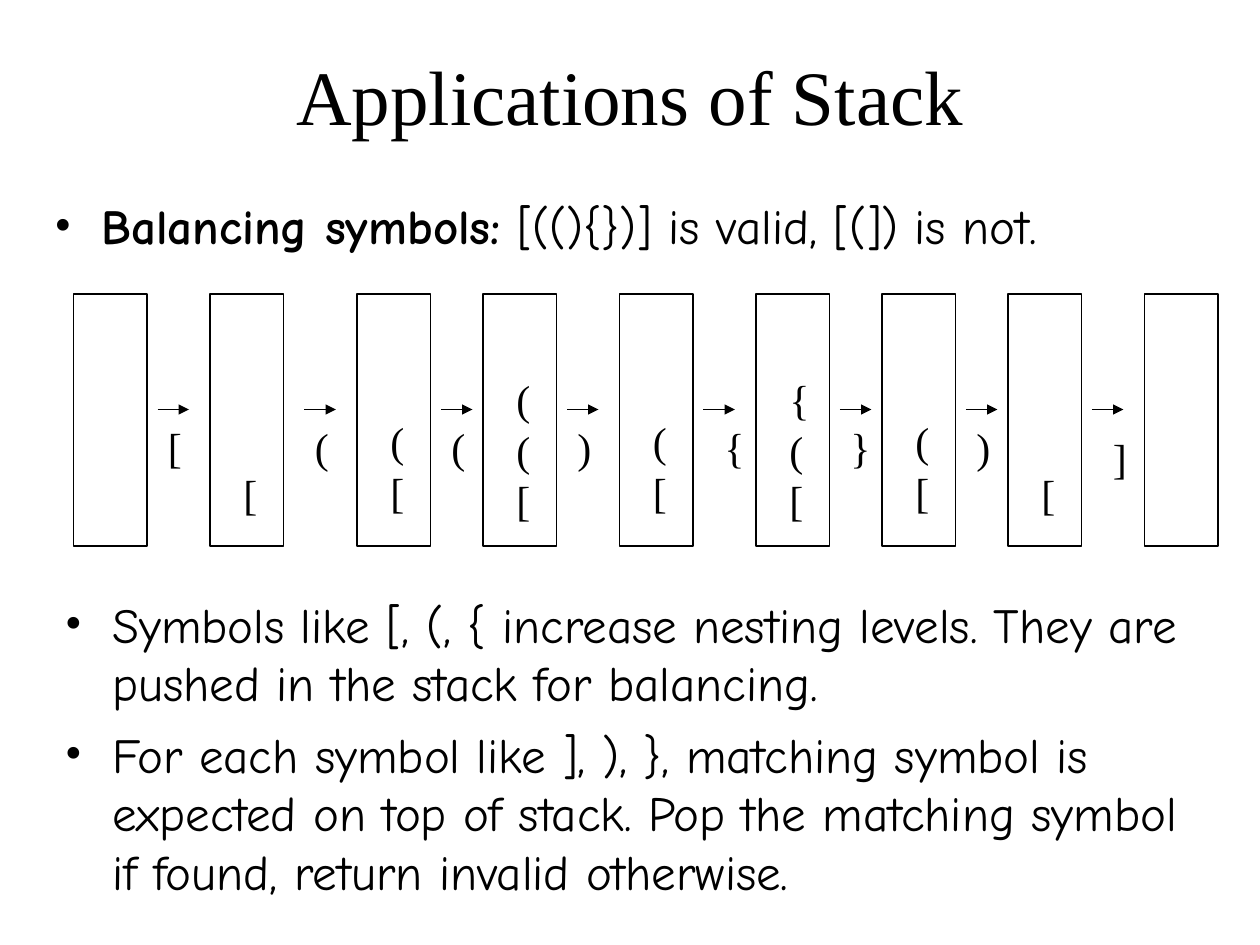
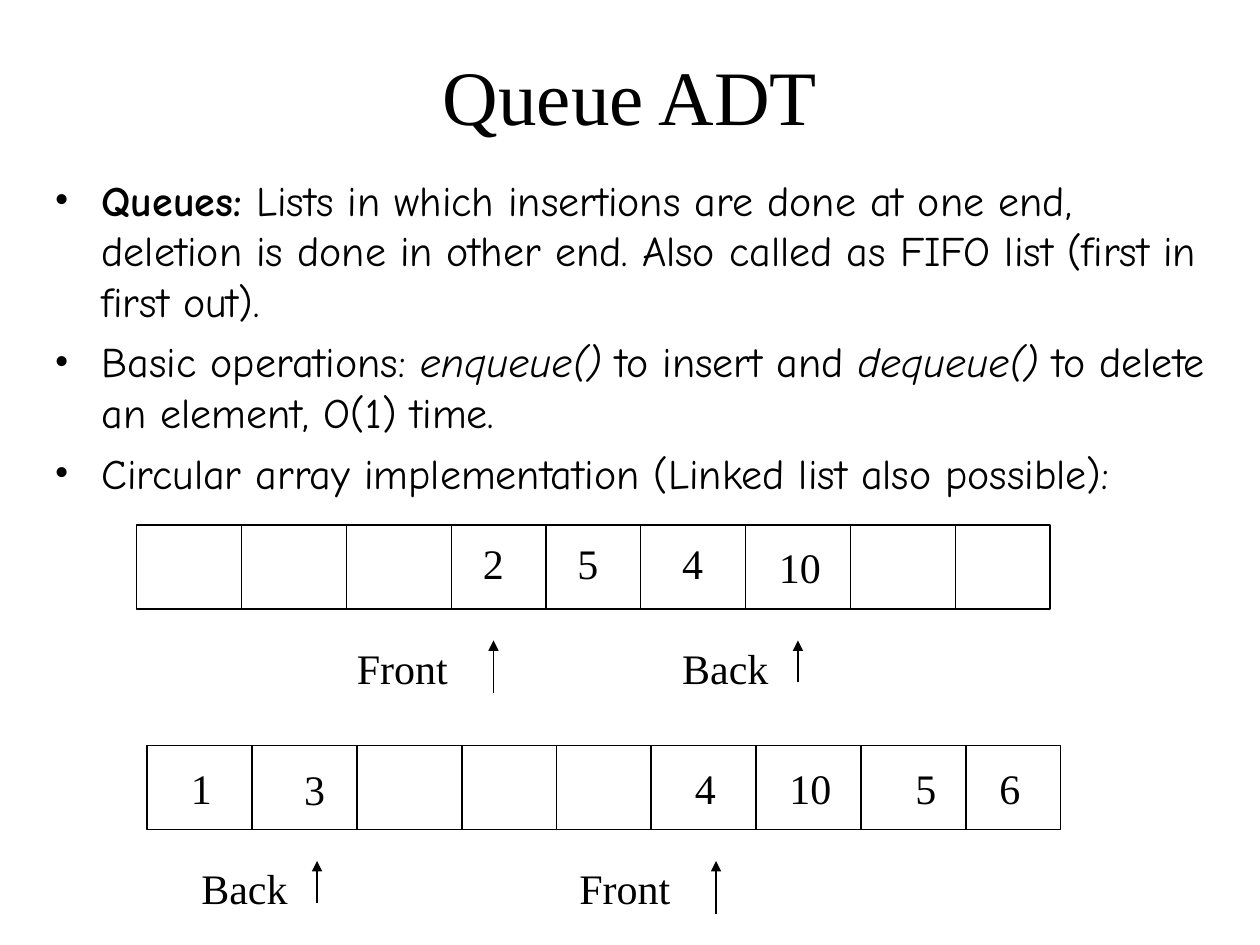
from dataclasses import dataclass
from itertools import accumulate

from lxml.etree import SubElement
from pptx import Presentation
from pptx.dml.color import RGBColor
from pptx.enum.shapes import MSO_CONNECTOR, MSO_SHAPE
from pptx.enum.text import MSO_ANCHOR, MSO_AUTO_SIZE, PP_ALIGN
from pptx.oxml.ns import qn
from pptx.util import Emu, Inches, Pt


@dataclass(frozen=True)
class Theme:
    ink: RGBColor = RGBColor(0, 0, 0)
    paper: RGBColor = RGBColor(255, 255, 255)
    serif: str = "Times New Roman"
    hand: str = "Comic Neue"
    title: int = 44
    large: int = 28
    text: int = 24
    rule: float = 0.75


THEME = Theme()
COLS, ROWS = 120, 90
UNIT = Inches(10) // COLS
INDENT = Inches(0.375)

STACK_TOP, STACK_WIDE, STACK_HIGH = 28, 7, 24
# left column, content
STACKS = [
    (7, ""), (20, "["), (34, "(["), (46, "((["), (59, "(["),
    (72, "{(["), (84, "(["), (96, "["), (109, ""),
]
CONTENT_TOP = {1: 44, 2: 39, 3: 35}
CONTENT_HIGH = {1: 6, 2: 10.8, 3: 15.6}
# arrow column, symbol read, symbol column, symbol row
STEPS = [
    (15, "[", 14.8, 39.6), (29, "(", 28.8, 39.6), (42, "(", 41.8, 39.6),
    (54, ")", 53.8, 39.6), (67, "{", 67.8, 39.6), (80, "}", 79.8, 39.6),
    (92, ")", 91.8, 39.6), (104, "]", 104.8, 40.6),
]

CELLS = [10, 10, 10, 9, 9, 10, 10, 10, 9]
CELL_HIGH = 8
# letter widths in ems, for boxes that hug their label
EMS = {"[": 0.34, "]": 0.34, "(": 0.34, ")": 0.34, "{": 0.49, "}": 0.49,
       "Front": 2.2, "Back": 2.1}


def grid(*sizes):
    return [Emu(round(size * UNIT)) for size in sizes]


def style(font, face, size):
    font.name, font.size, font.color.rgb = face, Pt(size), THEME.ink


def start(deck, title):
    """Add a title-only slide and set its title."""
    slide = deck.slides.add_slide(deck.slide_layouts[5])
    slide.background.fill.solid()
    slide.background.fill.fore_color.rgb = THEME.paper
    head = slide.shapes.title
    head.left, head.top, head.width, head.height = grid(9, 3, COLS - 18, 12)
    frame = head.text_frame
    frame.text = title
    frame.auto_size = MSO_AUTO_SIZE.NONE
    frame.vertical_anchor = MSO_ANCHOR.MIDDLE
    para = frame.paragraphs[0]
    para.alignment = PP_ALIGN.CENTER
    style(para.font, THEME.serif, THEME.title)
    return slide


def bullet(para):
    props = para._p.get_or_add_pPr()
    props.set("marL", str(INDENT))
    props.set("indent", str(-INDENT))
    tint = SubElement(props, qn("a:buClr"))
    SubElement(tint, qn("a:srgbClr")).set("val", str(THEME.ink))
    SubElement(props, qn("a:buFont")).set("typeface", THEME.serif)
    SubElement(props, qn("a:buChar")).set("char", "•")


def bullets(slide, box, size, items):
    """Add bullets; each item is a list of (text, mark), mark "b", "i" or ""."""
    frame = slide.shapes.add_textbox(*grid(*box)).text_frame
    frame.word_wrap = True
    for row, parts in enumerate(items):
        para = frame.add_paragraph() if row else frame.paragraphs[0]
        bullet(para)
        if row:
            para.space_before = Pt(size / 4)
        style(para.font, THEME.hand, size)
        for text, mark in parts:
            run = para.add_run()
            run.text = text
            if mark == "b":
                run.font.bold = True
            if mark == "i":
                run.font.italic = True


def label(slide, text, left, top, wide=None, high=6):
    """Add plain text; without a width the box hugs a single line."""
    span = wide or 2.4 + 4 * EMS.get(text, len(text) / 2 + 0.01)
    frame = slide.shapes.add_textbox(*grid(left, top, span, high)).text_frame
    frame.word_wrap = wide is not None
    frame.auto_size = MSO_AUTO_SIZE.SHAPE_TO_FIT_TEXT
    frame.text = text
    style(frame.paragraphs[0].font, THEME.serif, THEME.text)


def frame_box(slide, *box):
    shape = slide.shapes.add_shape(MSO_SHAPE.RECTANGLE, *grid(*box))
    shape.shadow.inherit = False
    shape.fill.background()
    shape.line.color.rgb = THEME.ink
    shape.line.width = Pt(THEME.rule)


def arrow(slide, *ends):
    link = slide.shapes.add_connector(MSO_CONNECTOR.STRAIGHT, *grid(*ends))
    link.line.color.rgb = THEME.ink
    link.line.width = Pt(THEME.rule)
    SubElement(link.line._get_or_add_ln(), qn("a:tailEnd")).set("type", "triangle")
    SubElement(link._element.spPr, qn("a:effectLst"))


def stack(slide, left, content):
    frame_box(slide, left, STACK_TOP, STACK_WIDE, STACK_HIGH)
    count = len(content)
    if count:
        label(slide, content, left + 2, CONTENT_TOP[count],
              4 if count > 1 else None, CONTENT_HIGH[count])


def queue(slide, left, top, values, marks):
    """Draw the array as nested frames, then its values and end marks."""
    edges = list(accumulate(CELLS, initial=left))
    for near in range(len(edges) // 2):
        far = edges[-1 - near]
        frame_box(slide, edges[near], top, far - edges[near], CELL_HIGH)
    for text, col, drop in values:
        label(slide, text, col, top + drop)
    for text, col, tip, length in marks:
        label(slide, text, col, top + 10.6)
        arrow(slide, tip, top + 11 + length, tip, top + 11)


def stack_slide(deck):
    slide = start(deck, "Applications of Stack")
    bullets(slide, (4, 18, 112, 9), THEME.large, [
        [("Balancing symbols:", "b"), (" [((){})] is valid, [(]) is not.", "")],
    ])
    for left, content in STACKS:
        stack(slide, left, content)
    for left, symbol, col, row in STEPS:
        arrow(slide, left, 39, left + 3, 39)
        label(slide, symbol, col, row)
    bullets(slide, (5, 56, 111, 29), THEME.large, [
        [("Symbols like [, (, { increase nesting levels. They are pushed in "
          "the stack for balancing.", "")],
        [("For each symbol like ], ), }, matching symbol is expected on top "
          "of stack. Pop the matching symbol if found, return invalid "
          "otherwise.", "")],
    ])


def queue_slide(deck):
    slide = start(deck, "Queue ADT")
    bullets(slide, (4, 16, 112, 32), THEME.text, [
        [("Queues:", "b"),
         (" Lists in which insertions are done at one end, deletion is done "
          "in other end. Also called as FIFO list (first in first out).", "")],
        [("Basic operations: ", ""), ("enqueue()", "i"),
         (" to insert and ", ""), ("dequeue()", "i"),
         (" to delete an element, O(1) time.", "")],
        [("Circular array implementation (Linked list also possible):", "")],
    ])
    queue(slide, 13, 50,
          [("2", 44.8, 0.6), ("5", 53.8, 0.6), ("4", 63.8, 0.6), ("10", 73, 1)],
          [("Front", 32.8, 47, 5), ("Back", 63.8, 76, 4)])
    queue(slide, 14, 71,
          [("1", 17, 1), ("3", 27.8, 1.1), ("4", 65, 1), ("10", 74, 1),
           ("5", 86, 1), ("6", 94, 1)],
          [("Back", 18, 30.2, 4), ("Front", 54, 68.2, 5)])


def main():
    deck = Presentation()
    deck.slide_width, deck.slide_height = grid(COLS, ROWS)
    stack_slide(deck)
    queue_slide(deck)
    deck.save("out.pptx")


if __name__ == "__main__":
    main()
